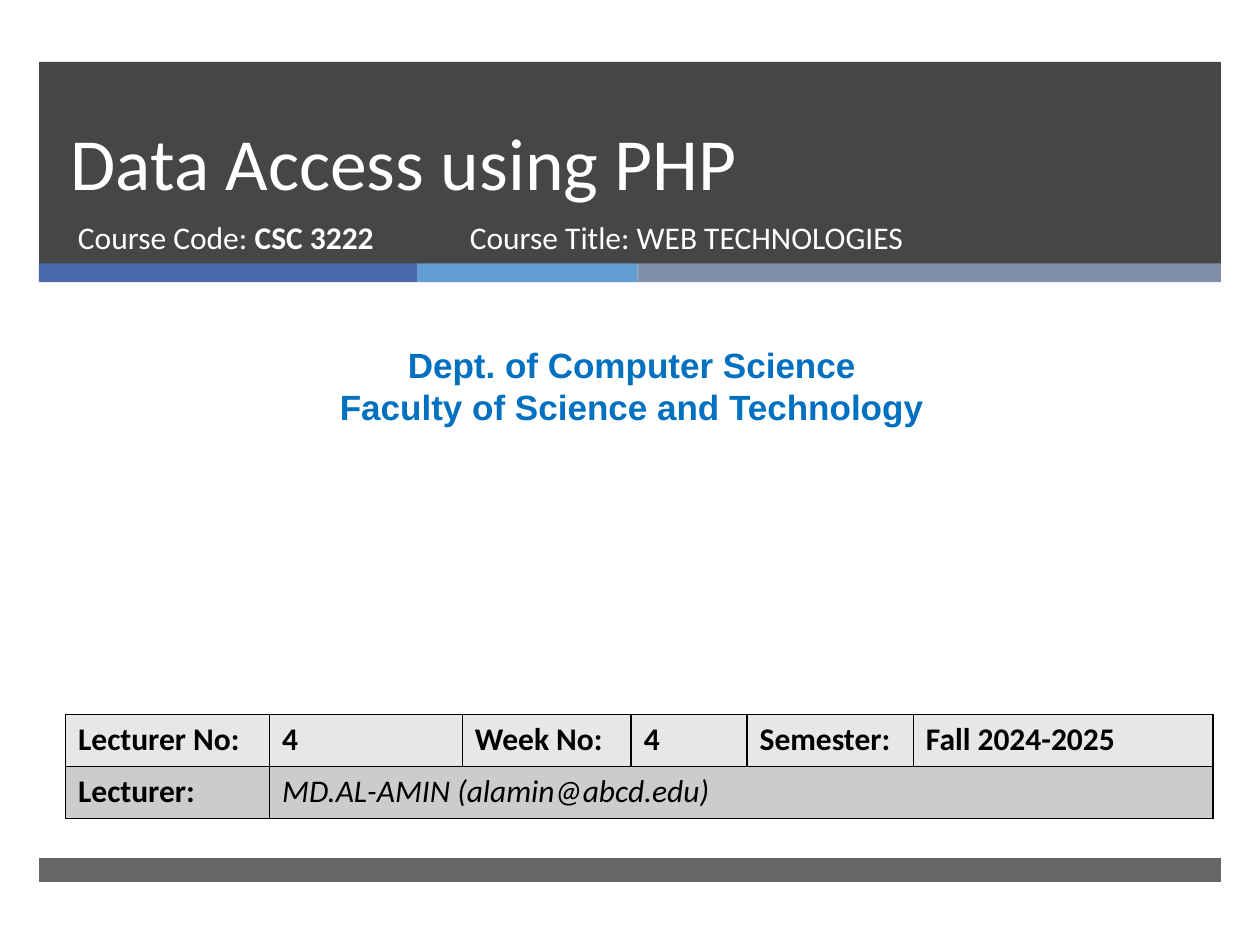
"""Build the opening slide of a lecture on data access."""
from dataclasses import dataclass

from lxml.etree import SubElement
from pptx import Presentation
from pptx.dml.color import RGBColor
from pptx.enum.shapes import MSO_SHAPE
from pptx.enum.text import MSO_ANCHOR, MSO_AUTO_SIZE, PP_ALIGN
from pptx.oxml import parse_xml
from pptx.oxml.ns import nsdecls, qn
from pptx.util import Pt

WHITE, BLACK, BLUE = "FFFFFF", "000000", "0070C0"
LEFT = 22.32


@dataclass
class Bar:
    left: float
    top: float
    width: float
    height: float
    color: str
    alpha: int = 100


@dataclass
class Run:
    text: str
    size: float = 18
    color: str = WHITE
    font: str = "Calibri"
    bold: bool = False
    slant: bool = False


def paint(target, color: str) -> None:
    """Give a fill a solid colour."""
    target.solid()
    target.fore_color.rgb = RGBColor.from_string(color)


def add_run(para, item: Run) -> None:
    """Add one styled run to a paragraph."""
    run = para.add_run()
    run.text = item.text
    font = run.font
    font.name, font.size = item.font, Pt(item.size)
    font.bold, font.italic = item.bold, item.slant
    paint(font.fill, item.color)


def add_bar(slide, bar: Bar) -> None:
    """Draw one plain bar."""
    shape = slide.shapes.add_shape(
        MSO_SHAPE.RECTANGLE, Pt(bar.left), Pt(bar.top), Pt(bar.width), Pt(bar.height))
    shape.shadow.inherit = False
    shape.line.fill.background()
    paint(shape.fill, bar.color)
    if bar.alpha < 100:
        tone = shape.element.spPr.find(qn("a:solidFill"))[0]
        SubElement(tone, qn("a:alpha"), val=str(bar.alpha * 1000))


def add_text(slide, box: tuple, lines: list[list[Run]], align=PP_ALIGN.LEFT) -> None:
    """Add a wrapped text box, one list of runs per paragraph."""
    frame = slide.shapes.add_textbox(*map(Pt, box)).text_frame
    frame.word_wrap = True
    for i, line in enumerate(lines):
        para = frame.add_paragraph() if i else frame.paragraphs[0]
        para.alignment = align
        for item in line:
            add_run(para, item)


def set_title(slide, item: Run) -> None:
    """Place the title on top of the header bar."""
    title = slide.shapes.title
    title.left, title.top, title.width, title.height = map(Pt, (33.12, 35.28, 614.88, 85.68))
    title.element.getparent().append(title.element)
    frame = title.text_frame
    frame.auto_size = MSO_AUTO_SIZE.NONE
    frame.word_wrap = True
    frame.vertical_anchor = MSO_ANCHOR.BOTTOM
    para = frame.paragraphs[0]
    para.alignment, para.line_spacing = PP_ALIGN.LEFT, Pt(46)
    add_run(para, item)


def set_edge(cell) -> None:
    """Draw a thin black border round a cell."""
    props = cell._tc.get_or_add_tcPr()
    for i, side in enumerate(("lnL", "lnR", "lnT", "lnB")):
        props.insert(i, parse_xml(
            f'<a:{side} {nsdecls("a")} w="{Pt(1)}"><a:solidFill>'
            f'<a:srgbClr val="{BLACK}"/></a:solidFill></a:{side}>'))


def add_grid(slide) -> None:
    """Add the table of lecture details."""
    widths = (116.64, 110.16, 96.48, 66.24, 95.04, 171.36)
    heads = ("Lecturer No:", "4", "Week No:", "4", "Semester:", "Fall 2024-2025")
    rows = (
        ("E7E7E7", [Run(text, color=BLACK, bold=True) for text in heads]),
        ("CCCCCC", [Run("Lecturer:", color=BLACK, bold=True),
                    Run("MD.AL-AMIN (alamin@abcd.edu)", color=BLACK, slant=True)]),
    )
    height = 29.8
    table = slide.shapes.add_table(
        len(rows), len(widths), Pt(37.44), Pt(408.24),
        Pt(sum(widths)), Pt(height * len(rows))).table
    for col, width in zip(table.columns, widths):
        col.width = Pt(width)
    table.cell(1, 1).merge(table.cell(1, len(widths) - 1))
    for r, (color, items) in enumerate(rows):
        table.rows[r].height = Pt(height)
        for c in range(len(widths)):
            cell = table.cell(r, c)
            paint(cell.fill, color)
            set_edge(cell)
            if c < len(items):
                add_run(cell.text_frame.paragraphs[0], items[c])


def main() -> None:
    """Build and save the slide."""
    deck = Presentation()
    deck.slide_width, deck.slide_height = Pt(720), Pt(540)
    slide = deck.slides.add_slide(deck.slide_layouts[5])

    full = 675.36
    add_bar(slide, Bar(LEFT, 35.28, full, 115.5, "262626", 85))
    left = LEFT
    for width, color in ((216, "4A66AC"), (126, "629DD1"), (333.36, "7F8FA9")):
        add_bar(slide, Bar(left, 150.48, width, 10.8, color))
        left += width
    add_bar(slide, Bar(LEFT, 490.32, full, 13.68, "262626", 70))

    set_title(slide, Run("Data Access using PHP", 42))
    add_text(slide, (37.44, 120.96, 219.6, 38.16),
             [[Run("Course Code: "), Run("CSC 3222", bold=True)]])
    add_text(slide, (261.36, 120.96, 327.6, 38.16), [[Run("Course Title: WEB TECHNOLOGIES")]])
    units = ("Dept. of Computer Science", "Faculty of Science and Technology")
    add_text(slide, (5.76, 192.96, 710.64, 55.44),
             [[Run(unit, 20, BLUE, "Arial", True)] for unit in units], PP_ALIGN.CENTER)
    add_grid(slide)
    deck.save("out.pptx")


if __name__ == "__main__":
    main()
